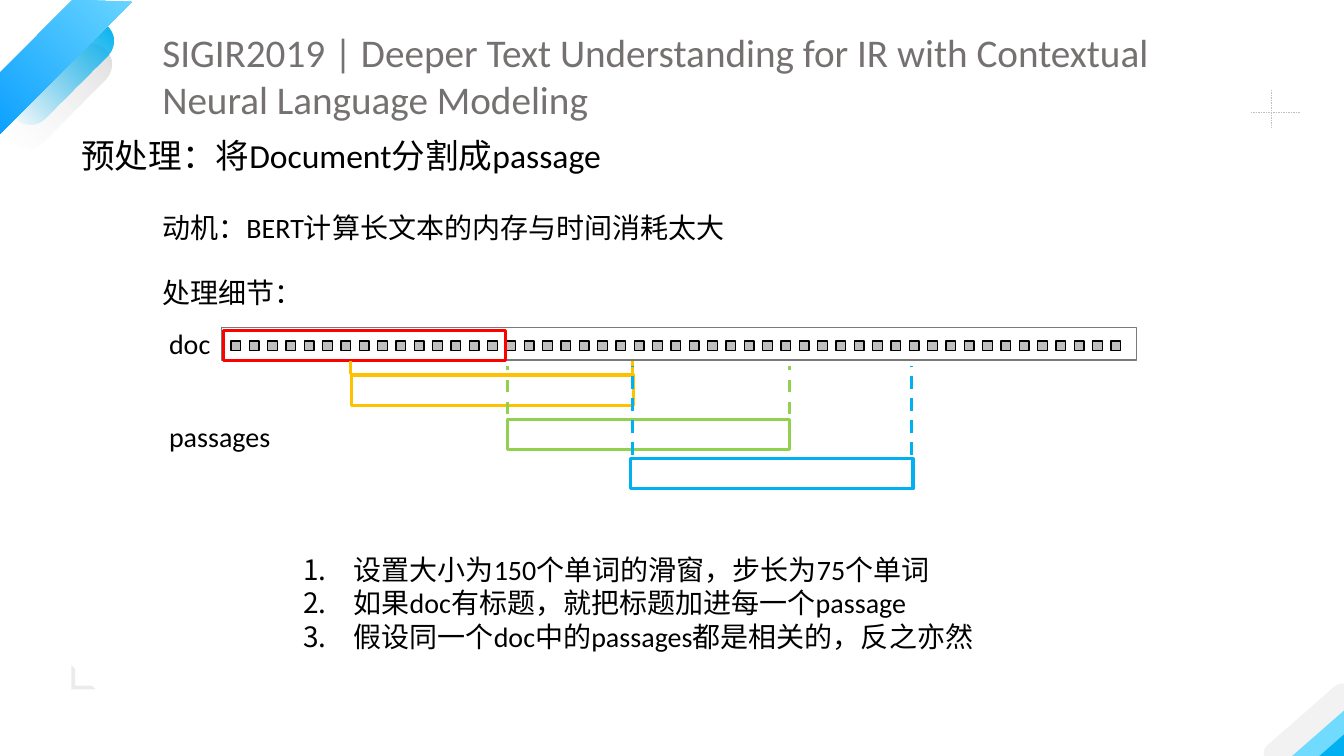
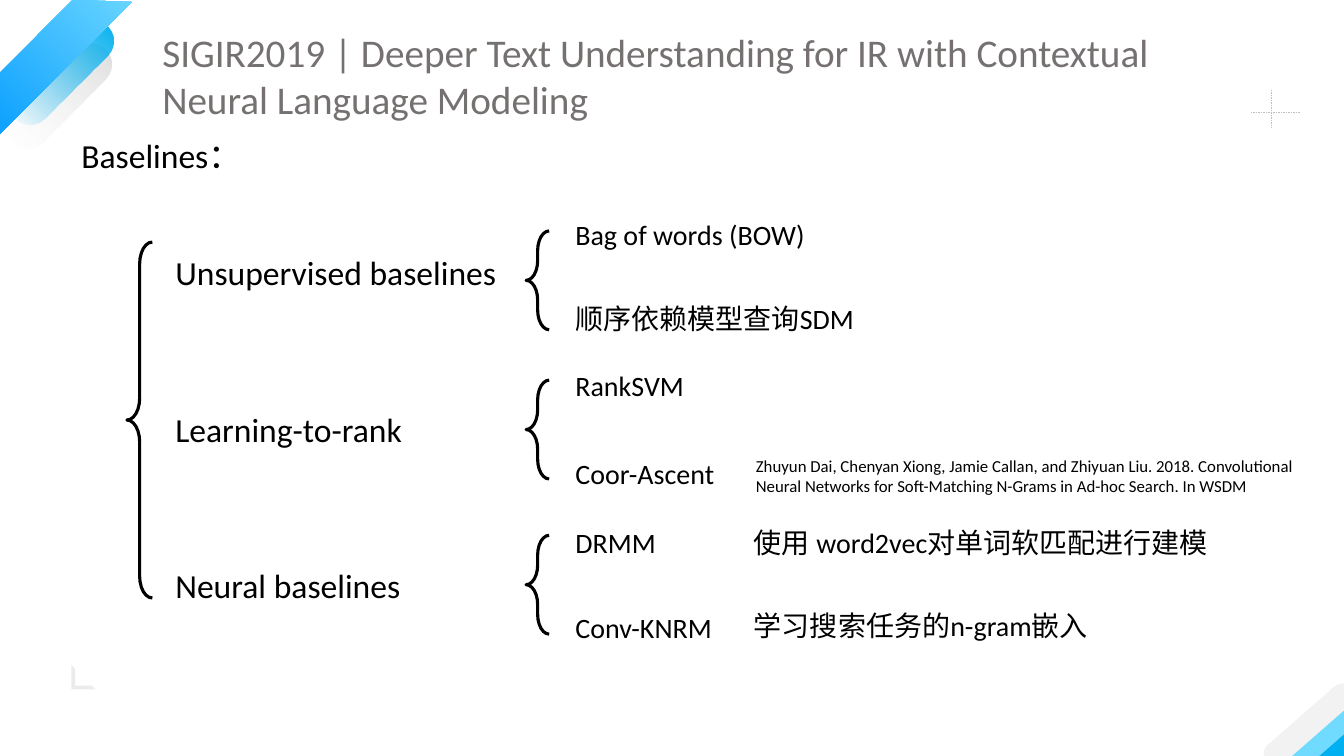
from dataclasses import dataclass

from lxml import etree
from pptx import Presentation
from pptx import util as u
from pptx.dml.color import RGBColor
from pptx.enum import dml, shapes, text
from pptx.oxml.ns import qn


@dataclass(frozen=True)
class Theme:
    font: str = "Calibri"
    title_size: int = 28
    heading_size: int = 24
    body_size: int = 20
    small_size: int = 12
    title: str = "767171"
    ink: str = "000000"
    paper: str = "FFFFFF"
    frame: str = "7A7A7A"
    grey: str = "BFBFBF"
    mid_grey: str = "D9D9D9"
    pale: str = "F2F2F2"
    blue: str = "00B0F0"
    light_blue: str = "71DAFF"
    deep_blue: str = "0099FF"
    red: str = "FF0000"
    amber: str = "FFC000"
    green: str = "92D050"
    thick: float = 2.25


@dataclass(frozen=True)
class Box:
    """A rectangle in centimetres."""
    left: float
    top: float
    width: float
    height: float

    def inner(self, left, top, width, height):
        return Box(self.left + left, self.top + top, width, height)

    def lengths(self):
        return [u.Cm(n) for n in (self.left, self.top, self.width, self.height)]


THEME = Theme()
SLIDE = Box(0, 0, 33.87, 19.05)
KIND = shapes.MSO_SHAPE
TITLE = ("SIGIR2019 | Deeper Text Understanding for IR with Contextual "
         "Neural Language Modeling")


# Basic parts
def add_shape(page, kind, box, fill=None, line=None, weight=1.0,
              turn=0, adjust=(), alpha=100):
    """A fill is one colour, or a list of (colour, opacity) gradient stops."""
    shape = page.shapes.add_shape(kind, *box.lengths())
    shape.shadow.inherit = False
    shape.rotation = turn
    for index, value in enumerate(adjust):
        shape.adjustments[index] = value
    if fill is None:
        shape.fill.background()
    elif isinstance(fill, str):
        shape.fill.solid()
        shape.fill.fore_color.rgb = RGBColor.from_string(fill)
        if alpha < 100:
            set_alpha(shape.fill._xPr.find(".//" + qn("a:srgbClr")), alpha)
    else:
        set_gradient(shape, fill)
    if line is None:
        shape.line.fill.background()
    else:
        shape.line.color.rgb = RGBColor.from_string(line)
        shape.line.width = u.Pt(weight)
    return shape


def set_alpha(colour, percent):
    etree.SubElement(colour, qn("a:alpha"), val=str(percent * 1000))


def set_gradient(shape, stops):
    shape.fill.gradient()
    shape.fill.gradient_angle = 180
    stop_list = shape.fill._xPr.find(".//" + qn("a:gsLst"))
    for stop in list(stop_list):
        stop_list.remove(stop)
    for position, (value, opacity) in zip((0, 100000), stops):
        stop = etree.SubElement(stop_list, qn("a:gs"), pos=str(position))
        colour = etree.SubElement(stop, qn("a:srgbClr"), val=value)
        if opacity < 100:
            set_alpha(colour, opacity)


def add_dashes(page, start, end, colour, weight):
    line = page.shapes.add_connector(
        shapes.MSO_CONNECTOR.STRAIGHT, *[u.Cm(n) for n in (*start, *end)])
    line.line.color.rgb = RGBColor.from_string(colour)
    line.line.width = u.Pt(weight)
    line.line.dash_style = dml.MSO_LINE.DASH
    etree.SubElement(line._element.spPr, qn("a:effectLst"))


def add_text(page, box, *paragraphs, size=THEME.body_size, colour=THEME.ink,
             numbered=False):
    frame = page.shapes.add_textbox(*box.lengths()).text_frame
    frame.word_wrap = True
    frame.auto_size = text.MSO_AUTO_SIZE.SHAPE_TO_FIT_TEXT
    for index, words in enumerate(paragraphs):
        para = frame.paragraphs[0] if index == 0 else frame.add_paragraph()
        if numbered:
            properties = para._p.get_or_add_pPr()
            indent = u.Cm(1.27)
            properties.set("marL", str(indent))
            properties.set("indent", str(-indent))
            etree.SubElement(properties, qn("a:buAutoNum"), type="arabicPeriod")
        for row, piece in enumerate(words.split("\n")):
            if row:
                para.add_line_break()
            span = para.add_run()
            span.text = piece
            span.font.name = THEME.font
            span.font.size = u.Pt(size)
            span.font.color.rgb = RGBColor.from_string(colour)


# Shared decoration and title
def add_top_left(page, box):
    fades = [(1.9, -0.15, [(THEME.mid_grey, 91), (THEME.pale, 0)]),
             (1.3, -0.1, [(THEME.blue, 100), (THEME.blue, 0)])]
    for top, left, stops in fades:
        add_shape(page, KIND.ROUNDED_RECTANGLE, box.inner(left, top, 3.28, 1.04),
                  stops, turn=315, adjust=[0.5])
    add_shape(page, KIND.TRAPEZOID, box.inner(-1.22, 0.84, 4.88, 1.09),
              [(THEME.light_blue, 100), (THEME.deep_blue, 100)],
              turn=315, adjust=[0.942])


def add_cross(page, box):
    middle = box.top + 0.56
    centre = box.left + 0.51
    add_dashes(page, (box.left, middle), (box.left + box.width, middle),
               THEME.grey, 0.25)
    add_dashes(page, (centre, box.top), (centre, box.top + box.height),
               THEME.grey, 0.25)


def add_bottom_right(page, box):
    bars = [(0.71, 0.63, 2.51, 0.74, THEME.blue),
            (0.31, 0.33, 2.84, 0.61, THEME.light_blue),
            (0, 0, 2.84, 0.61, THEME.pale)]
    for *place, colour in bars:
        add_shape(page, KIND.ROUNDED_RECTANGLE, box.inner(*place), colour,
                  turn=138.8, adjust=[0.5])


def add_page(deck, heading, heading_width):
    page = deck.slides.add_slide(deck.slide_layouts[6])
    add_top_left(page, SLIDE)
    add_cross(page, Box(31.52, 2.26, 1.25, 0.97))
    add_bottom_right(page, Box(31.57, 17.96, 3.22, 1.37))
    add_shape(page, KIND.HALF_FRAME, Box(1.8, 16.76, 0.61, 0.61), THEME.grey,
              turn=270, adjust=[0.152, 0.152], alpha=30)
    add_text(page, Box(3.84, 0.58, 26.62, 2.64), TITLE,
             size=THEME.title_size, colour=THEME.title)
    add_text(page, Box(1.8, 3.28, heading_width, 1.27), heading,
             size=THEME.heading_size)
    return page


# Sliding windows over a document
def add_windows(page, box):
    add_shape(page, KIND.RECTANGLE, box, THEME.paper, THEME.frame)
    for index in range(49):
        token = box.inner(0.23 + index * 0.462, 0.33, 0.25, 0.25)
        add_shape(page, KIND.RECTANGLE, token, THEME.grey, THEME.ink)

    # Left, top and colour; then guide positions, guide start and end
    windows = [(0.05, 0.07, THEME.red, (), 0, 0),
               (3.27, 1.19, THEME.amber, (3.25, 10.36), 0.78, 1.16),
               (7.19, 2.31, THEME.green, (7.19, 14.3), 0.96, 2.18),
               (10.31, 3.3, THEME.blue, (10.36, 17.37), 0.96, 3.2)]
    for left, top, colour, *_ in windows:
        add_shape(page, KIND.RECTANGLE, box.inner(left, top, 7.11, 0.76),
                  line=colour, weight=THEME.thick)
    for _, _, colour, guides, start, end in windows:
        for guide in guides:
            across = box.left + guide
            add_dashes(page, (across, box.top + end), (across, box.top + start),
                       colour, THEME.thick)

    add_text(page, box.inner(-1.58, -0.16, 2.08, 1.12), "doc")
    add_text(page, box.inner(-1.58, 2.18, 3.43, 1.12), "passages")


def build_preprocessing(deck):
    page = add_page(deck, "预处理：将Document分割成passage", 14.81)
    add_text(page, Box(3.84, 5.18, 19.13, 1.12),
             "动机：BERT计算长文本的内存与时间消耗太大")
    add_text(page, Box(3.84, 6.83, 4.22, 1.12), "处理细节：")
    add_windows(page, Box(5.59, 8.26, 23.06, 0.81))
    add_text(page, Box(7.39, 13.79, 18.11, 2.82),
             "设置大小为150个单词的滑窗，步长为75个单词",
             "如果doc有标题，就把标题加进每一个passage",
             "假设同一个doc中的passages都是相关的，反之亦然",
             numbered=True)


# Tree of baselines
def add_brace(page, box):
    add_shape(page, KIND.LEFT_BRACE, box, line=THEME.ink, weight=THEME.thick,
              adjust=[0.857, 0.5])


def add_branch(page, box, label, label_top, items):
    """The box starts at the label's left and the brace's top."""
    add_text(page, box.inner(0, label_top, 9.68, 1.27), label,
             size=THEME.heading_size)
    add_brace(page, box.inner(9.09, 0, 0.58, box.height))
    for top, item in items:
        add_text(page, box.inner(10.08, top, 8.69, 1.12), item)


def build_baselines(deck):
    page = add_page(deck, "Baselines：", 4.6)
    add_brace(page, Box(3.2, 6.1, 0.64, 8.97))
    branches = [
        (5.82, "Unsupervised baselines", 0.4,
         [(-0.46, "Bag of words (BOW)"), (1.65, "顺序依赖模型查询SDM")]),
        (9.58, "Learning-to-rank", 0.61,
         [(-0.41, "RankSVM"), (1.8, "Coor-Ascent")]),
        (13.49, "Neural baselines", 0.61,
         [(-0.38, "DRMM"), (1.78, "Conv-KNRM")]),
    ]
    for top, label, label_top, items in branches:
        add_branch(page, Box(4.17, top, 18.77, 2.49), label, label_top, items)

    # Remarks on the right
    add_text(page, Box(18.8, 11.35, 15.06, 1.27),
             "Zhuyun Dai, Chenyan Xiong, Jamie Callan, and Zhiyuan Liu. 2018. "
             "Convolutional\nNeural Networks for Soft-Matching N-Grams in "
             "Ad-hoc Search. In WSDM", size=THEME.small_size)
    add_text(page, Box(18.75, 13.11, 14.35, 1.12),
             "使用 word2vec对单词软匹配进行建模")
    add_text(page, Box(18.75, 15.21, 14.35, 1.12), "学习搜索任务的n-gram嵌入")


def main():
    deck = Presentation()
    deck.slide_width = u.Cm(SLIDE.width)
    deck.slide_height = u.Cm(SLIDE.height)
    build_preprocessing(deck)
    build_baselines(deck)
    deck.save("out.pptx")


if __name__ == "__main__":
    main()
